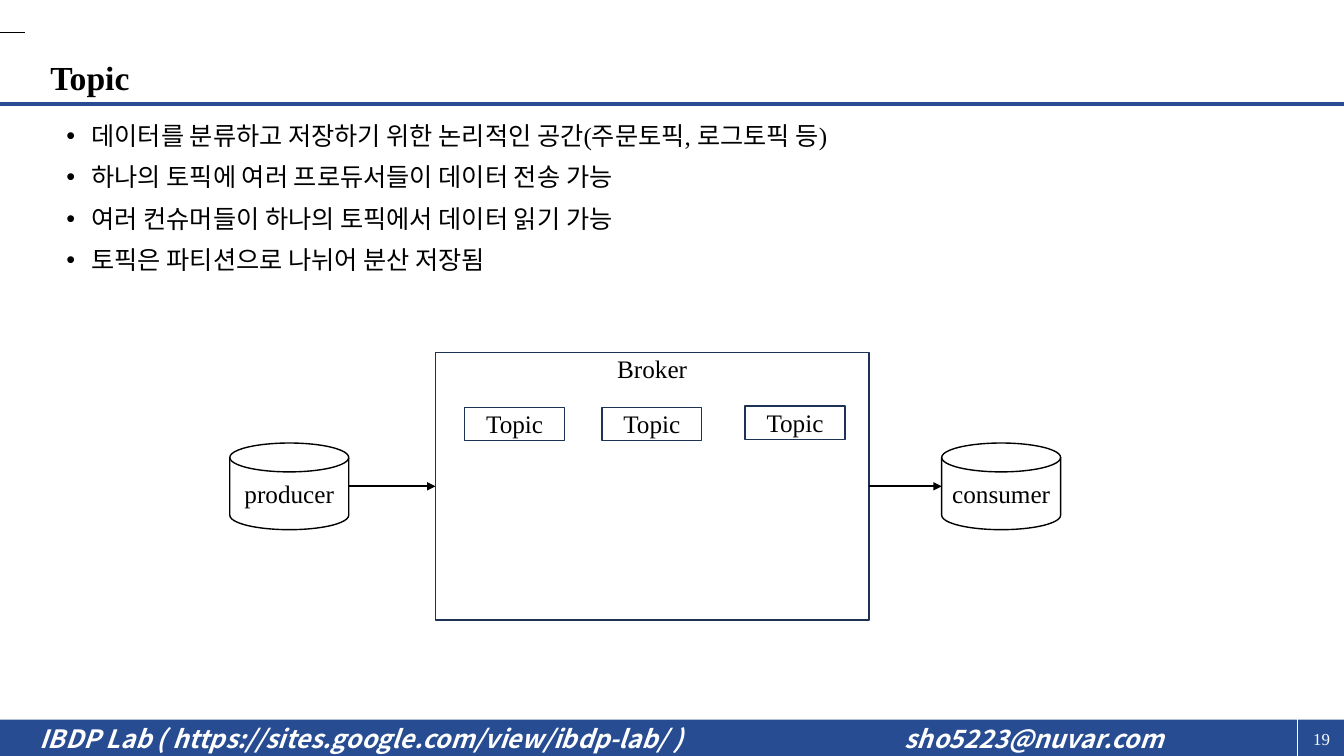
from lxml import etree
from pptx import Presentation
from pptx.dml.color import RGBColor
from pptx.enum.shapes import MSO_CONNECTOR, MSO_SHAPE
from pptx.enum.text import MSO_ANCHOR, MSO_AUTO_SIZE, PP_ALIGN
from pptx.oxml.ns import qn
from pptx.util import Inches, Pt

RECT = MSO_SHAPE.RECTANGLE
DISK = MSO_SHAPE.FLOWCHART_MAGNETIC_DISK
STRAIGHT = MSO_CONNECTOR.STRAIGHT
TOP, MIDDLE = MSO_ANCHOR.TOP, MSO_ANCHOR.MIDDLE
LEFT, CENTER, RIGHT = PP_ALIGN.LEFT, PP_ALIGN.CENTER, PP_ALIGN.RIGHT
LEFT_SIDE, RIGHT_SIDE = 1, 3

SLIDE_W, SLIDE_H = Inches(13.33), Inches(7.5)
BLACK, WHITE, BLUE, NAVY = "000000", "FFFFFF", "274C92", "1E3256"
SERIF, KOREAN = "Times New Roman", "Noto Sans CJK KR"

POINTS = [
    "데이터를 분류하고 저장하기 위한 논리적인 공간(주문토픽, 로그토픽 등)",
    "하나의 토픽에 여러 프로듀서들이 데이터 전송 가능",
    "여러 컨슈머들이 하나의 토픽에서 데이터 읽기 가능",
    "토픽은 파티션으로 나뉘어 분산 저장됨",
]
LAB = "IBDP Lab ( https://sites.google.com/view/ibdp-lab/ )"
EMAIL = "sho5223@nuvar.com"


def cols(share):
    return round(SLIDE_W * share / 100)


def rows(share):
    return round(SLIDE_H * share / 100)


def color(hex_code):
    return RGBColor.from_string(hex_code)


def place(left, top, width, height):
    return cols(left), rows(top), cols(width), rows(height)


def add_bullet(paragraph):
    properties = paragraph._p.get_or_add_pPr()
    properties.set("marL", str(Inches(0.25)))
    properties.set("indent", str(-Inches(0.25)))
    etree.SubElement(properties, qn("a:buFont"), typeface="Arial")
    etree.SubElement(properties, qn("a:buChar"), char="•")


def write(shape, *lines, size=18, face=SERIF, ink=BLACK, bold=False,
          italic=False, align=LEFT, anchor=MIDDLE, bullets=False,
          spacing=None, gap=0, margins=(0.1, 0.05)):
    frame = shape.text_frame
    frame.word_wrap = True
    frame.auto_size = MSO_AUTO_SIZE.NONE
    frame.vertical_anchor = anchor
    frame.margin_left = frame.margin_right = Inches(margins[0])
    frame.margin_top = frame.margin_bottom = Inches(margins[1])
    for index, line in enumerate(lines):
        paragraph = frame.add_paragraph() if index else frame.paragraphs[0]
        if bullets:
            add_bullet(paragraph)
        paragraph.alignment = align
        paragraph.line_spacing = spacing
        paragraph.space_before = Pt(gap if index else 0)
        run = paragraph.add_run()
        run.text = line
        run.font.size, run.font.name = Pt(size), face
        run.font.bold, run.font.italic = bold, italic
        run.font.color.rgb = color(ink)
        east_asian = etree.Element(qn("a:ea"), typeface=KOREAN)
        run.font._element.find(qn("a:latin")).addnext(east_asian)


def add_text(slide, box, *lines, **style):
    write(slide.shapes.add_textbox(*place(*box)), *lines, **style)


def add_block(slide, kind, box, text="", fill=None, outline=None, **style):
    block = slide.shapes.add_shape(kind, *place(*box))
    block.shadow.inherit = False
    if fill:
        block.fill.solid()
        block.fill.fore_color.rgb = color(fill)
    else:
        block.fill.background()
    if outline:
        block.line.color.rgb = color(outline)
        block.line.width = Pt(1)
    else:
        block.line.fill.background()
    if text:
        write(block, text, **style)
    return block


def add_line(slide, start, end, ink, weight, arrow=False):
    line = slide.shapes.add_connector(
        STRAIGHT, cols(start[0]), rows(start[1]), cols(end[0]), rows(end[1]))
    line.line.color.rgb = color(ink)
    line.line.width = Pt(weight)
    if arrow:
        etree.SubElement(line.line._get_or_add_ln(), qn("a:tailEnd"), type="triangle")
    etree.SubElement(line._element.spPr, qn("a:effectLst"))
    return line


def add_frame(slide):
    add_block(slide, RECT, (0, 95.2, 100, 5), fill=BLUE)
    footer = dict(face=KOREAN, ink=WHITE, bold=True, italic=True, margins=(0, 0))
    add_text(slide, (2.95, 95.2, 55, 5), LAB, **footer)
    add_text(slide, (67.3, 95.2, 27, 5), EMAIL, **footer)
    add_line(slide, (0, 13.73), (100, 13.73), BLUE, 3)
    add_line(slide, (96.5, 95), (96.5, 100), WHITE, 0.5)
    add_line(slide, (0, 4.27), (1.88, 4.27), BLACK, 0.5)
    add_text(slide, (77.2, 95.1, 22.5, 5.3), "19", size=12, ink=WHITE, align=RIGHT)


def add_title(slide):
    title = slide.shapes.title
    title.left, title.top, title.width, title.height = place(3, 4.8, 86.27, 11.47)
    write(title, "Topic", size=24, bold=True, spacing=0.9)


def add_diagram(slide):
    left, top, width, height = 32.4, 46.67, 32.25, 35.33
    axis = top + height / 2
    broker = add_block(slide, RECT, (left, top, width, height), "Broker", outline=NAVY,
                       align=CENTER, anchor=TOP, margins=(0.1, 0))
    for topic_left, topic_top in ((34.58, 53.87), (44.79, 53.87), (55.44, 53.73)):
        add_block(slide, RECT, (topic_left, topic_top, 7.43, 4.4), "Topic",
                  outline=NAVY, align=CENTER)

    disk_w, disk_h = 8.85, 11.47
    producer_left, consumer_left = 17.1, 70.07
    for disk_left, name in ((producer_left, "producer"), (consumer_left, "consumer")):
        add_block(slide, DISK, (disk_left, axis - disk_h / 2, disk_w, disk_h), name,
                  outline=BLACK, align=CENTER)

    produce = add_line(slide, (producer_left + disk_w, axis), (left, axis),
                       BLACK, 1.5, arrow=True)
    produce.end_connect(broker, LEFT_SIDE)
    consume = add_line(slide, (left + width, axis), (consumer_left, axis),
                       BLACK, 1.5, arrow=True)
    consume.begin_connect(broker, RIGHT_SIDE)


def main():
    deck = Presentation()
    deck.slide_width, deck.slide_height = SLIDE_W, SLIDE_H
    slide = deck.slides.add_slide(deck.slide_layouts[5])
    add_frame(slide)
    add_title(slide)
    add_text(slide, (4.2, 15.73, 92.35, 74.27), *POINTS, anchor=TOP,
             bullets=True, spacing=0.9, gap=10)
    add_diagram(slide)
    deck.save("out.pptx")


if __name__ == "__main__":
    main()
